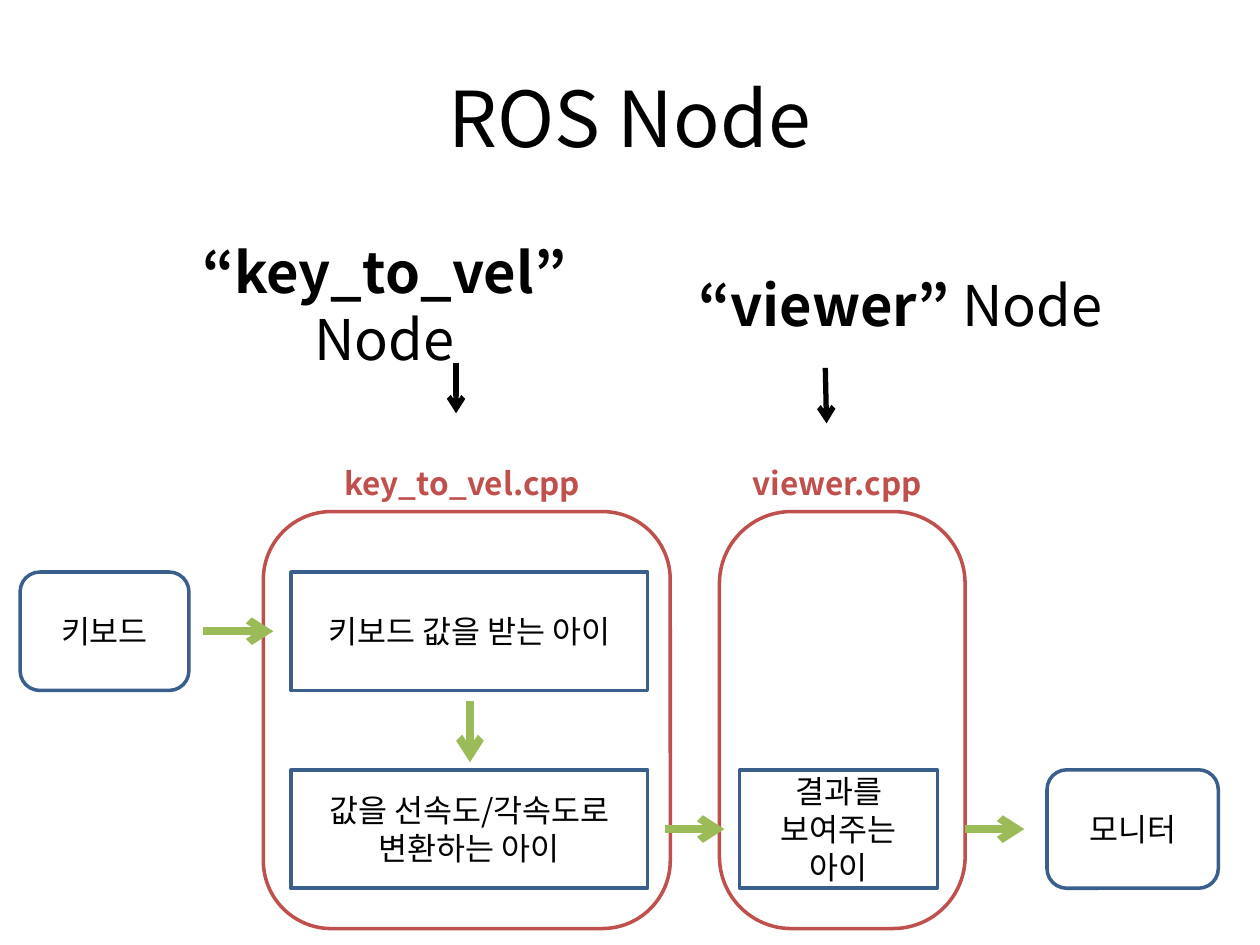
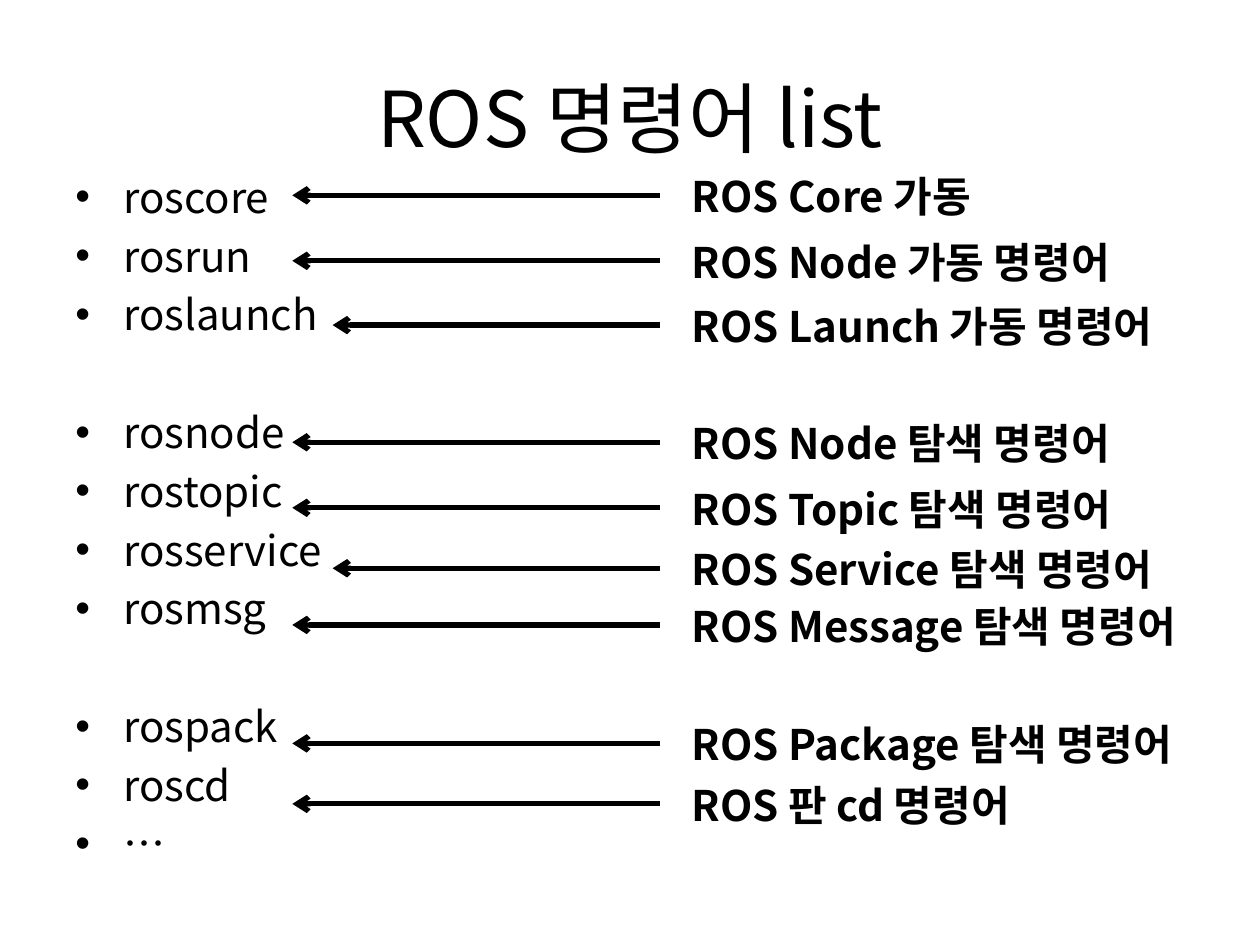
from lxml import etree
from pptx import Presentation
from pptx.dml.color import RGBColor
from pptx.enum.shapes import MSO_CONNECTOR, MSO_SHAPE
from pptx.enum.text import MSO_ANCHOR, PP_ALIGN
from pptx.oxml.ns import qn
from pptx.util import Inches, Pt

RECT, ROUND = MSO_SHAPE.RECTANGLE, MSO_SHAPE.ROUNDED_RECTANGLE
STRAIGHT = MSO_CONNECTOR.STRAIGHT
TOP, MIDDLE = MSO_ANCHOR.TOP, MSO_ANCHOR.MIDDLE
LEFT, CENTER = PP_ALIGN.LEFT, PP_ALIGN.CENTER

FONT = "Noto Sans CJK KR"
COLORS = {"ink": "000000", "red": "C0504D", "blue": "3A5F8C", "green": "9BBB59"}

# Slide 1 content: the two nodes, their steps and the flow between them
NODES_TITLE = "ROS Node"
ROW1, ROW2, BOX_H = 4.54, 6.11, 0.94
GROUPS = [  # left, width, corner
    (2.09, 3.23, 0.167),
    (5.71, 1.95, 0.293),
]
STEPS = [  # text lines, shape, left, top, width
    (["키보드 값을 받는 아이"], RECT, 2.31, ROW1, 2.83),
    (["값을 선속도/각속도로", "변환하는 아이"], RECT, 2.31, ROW2, 2.83),
    (["키보드"], ROUND, 0.16, ROW1, 1.34),
    (["모니터"], ROUND, 8.31, ROW2, 1.36),
    (["결과를 보여주는 아이"], RECT, 5.87, ROW2, 1.57),
]
MID1, MID2 = ROW1 + BOX_H / 2, ROW2 + BOX_H / 2
FLOWS = [
    (1.61, MID1, 2.17, MID1),
    (3.73, 5.56, 3.73, 6.05),
    (5.28, MID2, 5.75, MID2),
    (7.66, MID2, 8.13, MID2),
]
FILES = [("key_to_vel.cpp", 2.06, 3.22), ("viewer.cpp", 5.86, 1.57)]
HEADS = [  # name, left, width, arrow
    ("“key_to_vel” ", 0.98, 4.14, (3.62, 2.88, 3.62, 3.28)),
    ("“viewer” ", 5.04, 4.21, (6.55, 2.92, 6.56, 3.36)),
]

# Slide 2 content: commands in blocks, with notes at their heights
LIST_TITLE = "ROS 명령어 list"
BLOCKS = [
    ["roscore", "rosrun", "roslaunch"],
    ["rosnode", "rostopic", "rosservice", "rosmsg"],
    ["rospack", "roscd", "…"],
]
NEAR, FAR = 2.32, 2.64  # arrow tips for short and long commands
NOTES = [  # text, middle, arrow tip
    ("ROS Core 가동", 1.55, NEAR),
    ("ROS Node 가동 명령어", 2.07, NEAR),
    ("ROS Launch 가동 명령어", 2.58, FAR),
    ("ROS Node 탐색 명령어", 3.51, NEAR),
    ("ROS Topic 탐색 명령어", 4.03, NEAR),
    ("ROS Service 탐색 명령어", 4.51, FAR),
    ("ROS Message 탐색 명령어", 4.96, NEAR),
    ("ROS Package 탐색 명령어", 5.9, NEAR),
    ("ROS 판 cd 명령어", 6.38, NEAR),
]
GAP, LINE = 4.8, 28.8  # space before and line height, in points


def color(name):
    return RGBColor.from_string(COLORS[name])


def style(font, size, ink="ink", bold=False):
    font.name, font.size, font.bold = FONT, Pt(size), bold
    font.color.rgb = color(ink)
    # Hangul takes its face from the East Asian font
    etree.SubElement(font._element, qn("a:ea"), typeface=FONT)


def write(shape, lines, size, ink="ink", bold=False, align=CENTER, anchor=MIDDLE):
    frame = shape.text_frame
    frame.word_wrap, frame.vertical_anchor = True, anchor
    for i, line in enumerate(lines):
        par = frame.add_paragraph() if i else frame.paragraphs[0]
        par.alignment = align
        par.add_run().text = line
        style(par.runs[0].font, size, ink, bold)
    return frame


def add_text(slide, box, lines, size, **look):
    return write(slide.shapes.add_textbox(*map(Inches, box)), lines, size, **look)


def add_box(slide, kind, box, line):
    shape = slide.shapes.add_shape(kind, *map(Inches, box))
    shape.shadow.inherit = False
    shape.fill.background()
    shape.line.color.rgb, shape.line.width = color(line), Pt(2)
    return shape


def add_arrow(slide, ends, ink="ink", width=3):
    arrow = slide.shapes.add_connector(STRAIGHT, *map(Inches, ends))
    arrow.line.color.rgb, arrow.line.width = color(ink), Pt(width)
    etree.SubElement(arrow.line._get_or_add_ln(), qn("a:tailEnd"), type="arrow")
    etree.SubElement(arrow._element.spPr, qn("a:effectLst"))


def add_slide(deck, title):
    slide = deck.slides.add_slide(deck.slide_layouts[6])
    add_text(slide, (0.5, 0.3, 9, 1.25), [title], 44)
    return slide


def draw_nodes(deck):
    slide = add_slide(deck, NODES_TITLE)
    for left, width, corner in GROUPS:
        add_box(slide, ROUND, (left, 4.06, width, 3.31), "red").adjustments[0] = corner
    for lines, kind, left, top, width in STEPS:
        write(add_box(slide, kind, (left, top, width, BOX_H), "blue"), lines, 18)
    for ends in FLOWS:
        add_arrow(slide, ends, "green", 4.5)
    for name, left, width in FILES:
        add_text(slide, (left, 3.36, width, 0.94), [name], 18, ink="red", bold=True)
    for name, left, width, ends in HEADS:
        frame = add_text(slide, (left, 2.1, width, 0.63), [name], 32, bold=True)
        run = frame.paragraphs[0].add_run()
        run.text = "Node"
        style(run.font, 32)
        add_arrow(slide, ends)


def draw_list(deck):
    slide = add_slide(deck, LIST_TITLE)
    words = [word for block in BLOCKS for word in block]
    firsts = {block[0] for block in BLOCKS[1:]}
    frame = add_text(slide, (0.5, 1.31, 9, 4.95), words, 24, align=LEFT, anchor=TOP)
    for i, par in enumerate(frame.paragraphs):
        props = par._p.get_or_add_pPr()
        props.set("marL", str(Inches(0.38)))
        props.set("indent", str(-Inches(0.38)))
        etree.SubElement(props, qn("a:buFont"), typeface="Arial")
        etree.SubElement(props, qn("a:buChar"), char="•")
        if i:  # a new block skips one line
            par.space_before = Pt(2 * GAP + LINE if words[i] in firsts else GAP)
    for text, mid, tip in NOTES:
        add_text(slide, (5.39, mid - 0.15, 4.61, 0.31), [text], 24, bold=True, align=LEFT)
        add_arrow(slide, (5.24, mid, tip, mid))


def main():
    deck = Presentation()
    deck.slide_width, deck.slide_height = Inches(10), Inches(7.5)
    draw_nodes(deck)
    draw_list(deck)
    deck.save("out.pptx")


if __name__ == "__main__":
    main()
